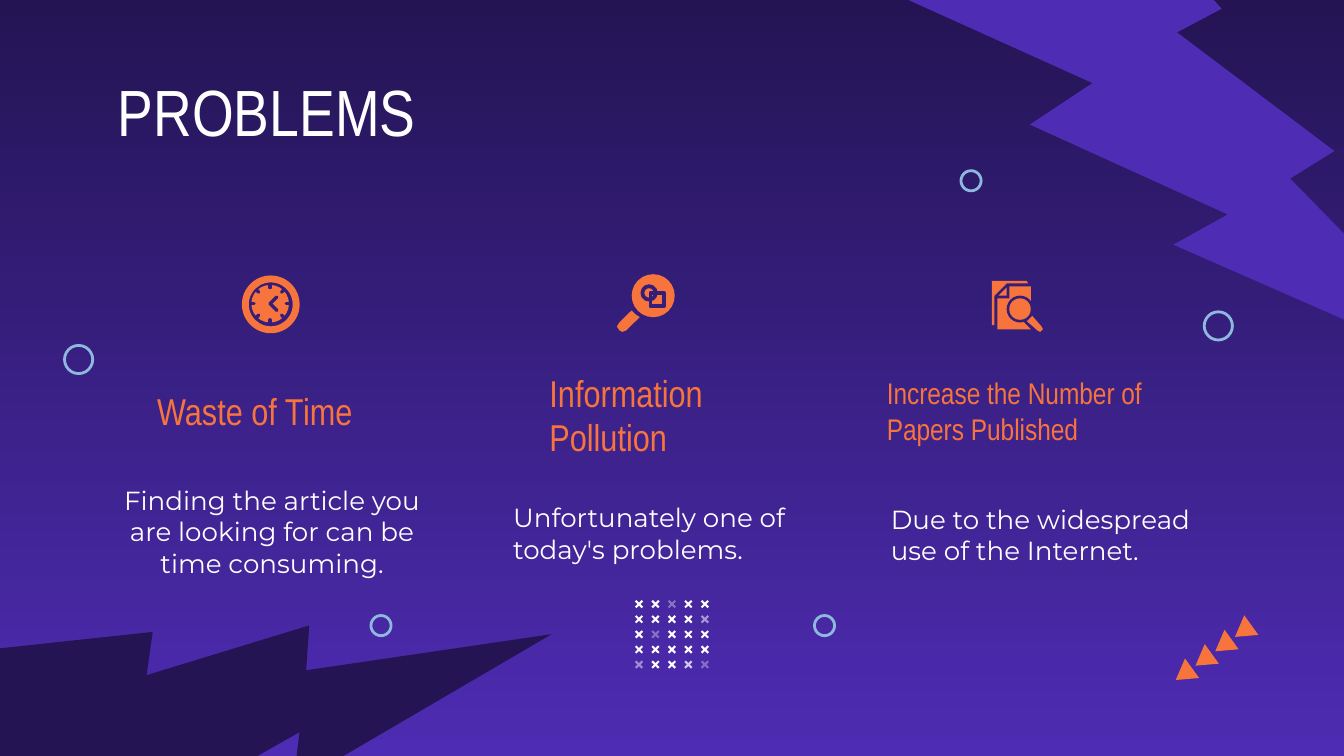
"""Build the slide on three research problems, with icons and ornaments."""
from dataclasses import dataclass
from math import cos, pi, sin
from typing import Optional

from lxml import etree
from pptx import Presentation
from pptx import util as u
from pptx.dml.color import RGBColor
from pptx.enum import dml, shapes, text
from pptx.oxml import ns

ORANGE, WHITE, BLUE = "F7743C", "FFFFFF", "8EB8DE"
NIGHT, VIOLET, DUSK = "241454", "4E2CB3", "351E7A"
KIND = shapes.MSO_SHAPE
HEAD, BODY = "Arial Narrow", "Montserrat"


@dataclass
class Mark:
    kind: int
    left: float
    top: float
    width: float
    height: float
    fill: Optional[str] = None
    line: Optional[str] = None
    weight: float = 1.5
    turn: float = 0
    bend: Optional[float] = None
    alpha: int = 100


@dataclass
class Label:
    words: str
    left: float
    top: float
    width: float
    height: float
    size: int
    font: str = HEAD
    color: str = ORANGE
    align: int = text.PP_ALIGN.LEFT
    anchor: int = text.MSO_ANCHOR.MIDDLE


def tint(fill, color: str) -> None:
    """Make a fill solid in a hex colour."""
    fill.solid()
    fill.fore_color.rgb = RGBColor.from_string(color)


def paint(shape, fill: Optional[str], line: Optional[str] = None, weight: float = 1.5) -> None:
    """Set the fill and line of a shape and drop its shadow."""
    shape.shadow.inherit = False
    for part, color in ((shape.fill, fill), (shape.line.fill, line)):
        if color:
            tint(part, color)
        else:
            part.background()
    if line:
        shape.line.width = u.Pt(weight)


def draw_mark(slide, mark: Mark) -> None:
    """Draw one preset shape."""
    box = [u.Inches(v) for v in (mark.left, mark.top, mark.width, mark.height)]
    shape = slide.shapes.add_shape(mark.kind, *box)
    shape.rotation = mark.turn
    if mark.bend is not None:
        shape.adjustments[0] = mark.bend
    paint(shape, mark.fill, mark.line, mark.weight)
    if mark.alpha < 100:
        color = shape.fill._xPr.find(".//" + ns.qn("a:srgbClr"))
        etree.SubElement(color, ns.qn("a:alpha"), val=str(mark.alpha * 1000))


def draw_label(slide, label: Label) -> None:
    """Draw one text box."""
    box = [u.Inches(v) for v in (label.left, label.top, label.width, label.height)]
    frame = slide.shapes.add_textbox(*box).text_frame
    inset = u.Inches(0.1)
    style = {"word_wrap": True, "vertical_anchor": label.anchor,
             "margin_left": inset, "margin_right": inset,
             "margin_top": inset, "margin_bottom": inset}
    for name, value in style.items():
        setattr(frame, name, value)
    para = frame.paragraphs[0]
    para.alignment = label.align
    run = para.add_run()
    run.text = label.words
    for name, value in {"name": label.font, "size": u.Pt(label.size)}.items():
        setattr(run.font, name, value)
    tint(run.font.fill, label.color)


def draw_form(slide, points: list[tuple[float, float]]) -> None:
    """Draw a closed orange outline."""
    first, *rest = [(u.Inches(x), u.Inches(y)) for x, y in points]
    pen = slide.shapes.build_freeform(*first)
    pen.add_line_segments(rest, close=True)
    paint(pen.convert_to_shape(), ORANGE)


def draw_line(slide, start: tuple[float, float], end: tuple[float, float]) -> None:
    """Draw a short dark line with round ends."""
    ends = [u.Inches(v) for v in (*start, *end)]
    line = slide.shapes.add_connector(shapes.MSO_CONNECTOR.STRAIGHT, *ends)
    tint(line.line.fill, DUSK)
    line.line.width = u.Pt(1.8)
    line.line._get_or_add_ln().set("cap", "rnd")
    etree.SubElement(line._element.spPr, ns.qn("a:effectLst"))


def draw_clock(slide) -> None:
    """Draw the clock icon."""
    x, y = 2.01, 2.26
    draw_mark(slide, Mark(KIND.DONUT, 1.8, 2.05, 0.43, 0.43, ORANGE, bend=0.12))
    draw_mark(slide, Mark(KIND.OVAL, 1.87, 2.12, 0.28, 0.28, ORANGE))
    for step in range(8):
        dx, dy = cos(step * pi / 4), sin(step * pi / 4)
        draw_line(slide, (x + 0.12 * dx, y + 0.12 * dy), (x + 0.14 * dx, y + 0.14 * dy))
    for tip in (2.21, 2.31):
        draw_line(slide, (x, y), (2.06, tip))


def draw_lens(slide) -> None:
    """Draw the magnifier icon."""
    draw_form(slide, [(4.7, 2.31), (4.61, 2.4), (4.59, 2.43), (4.61, 2.46),
                      (4.63, 2.47), (4.66, 2.46), (4.76, 2.36), (4.73, 2.34)])
    draw_mark(slide, Mark(KIND.OVAL, 4.7, 2.04, 0.32, 0.32, ORANGE))
    draw_mark(slide, Mark(KIND.OVAL, 4.78, 2.13, 0.1, 0.1, line=DUSK, weight=2))
    draw_mark(slide, Mark(KIND.RECTANGLE, 4.84, 2.18, 0.1, 0.1, line=DUSK, weight=2))


def draw_page(slide) -> None:
    """Draw the paper search icon."""
    draw_form(slide, [(7.38, 2.09), (7.38, 2.42), (7.4, 2.42), (7.4, 2.2), (7.49, 2.11),
                      (7.65, 2.11), (7.64, 2.09)])
    draw_form(slide, [(7.49, 2.14), (7.43, 2.2), (7.49, 2.2)])
    draw_form(slide, [(7.51, 2.13), (7.51, 2.22), (7.42, 2.22), (7.42, 2.45), (7.67, 2.45),
                      (7.62, 2.4), (7.59, 2.3), (7.67, 2.24), (7.67, 2.13)])
    draw_mark(slide, Mark(KIND.OVAL, 7.49, 2.2, 0.2, 0.2, DUSK))
    draw_mark(slide, Mark(KIND.OVAL, 7.51, 2.22, 0.16, 0.16, ORANGE))
    draw_form(slide, [(7.68, 2.35), (7.64, 2.39), (7.72, 2.46), (7.74, 2.47),
                      (7.75, 2.46), (7.76, 2.45), (7.75, 2.43)])


BOLTS = [Mark(KIND.LIGHTNING_BOLT, 6.71, -1.07, 4.17, 4.17, VIOLET, turn=353.7),
         Mark(KIND.LIGHTNING_BOLT, -0.15, 3.59, 3.6, 3.6, NIGHT, turn=299.7)]
LABELS = [
    Label("PROBLEMS", 0.78, 0.43, 8.43, 0.64, 35, color=WHITE, anchor=text.MSO_ANCHOR.TOP),
    Label("Waste of Time", 1.07, 2.78, 1.92, 0.55, 20),
    Label("Finding the article you are looking for can be time consuming.",
          0.78, 3.48, 2.49, 0.95, 14, BODY, WHITE, text.PP_ALIGN.CENTER),
    Label("Information Pollution", 3.99, 2.81, 1.66, 0.55, 20),
    Label("Unfortunately one of today's problems.", 3.72, 3.49, 2.37, 0.95, 14, BODY, WHITE),
    Label("Increase the Number of Papers Published", 6.5, 2.78, 2.66, 0.55, 16),
    Label("Due to the widespread use of the Internet.", 6.53, 3.5, 2.61, 0.95, 14, BODY, WHITE),
]
RINGS = [(2.76, 4.58, 0.15), (8.96, 2.32, 0.21), (0.48, 2.57, 0.21),
         (6.06, 4.58, 0.15), (7.15, 1.27, 0.15)]
FAINT = {(0, 2): 36, (1, 4): 53, (2, 1): 34, (4, 0): 48, (4, 3): 75, (4, 4): 33}


def main() -> None:
    """Build and save the slide."""
    deck = Presentation()
    deck.slide_width, deck.slide_height = u.Inches(10), u.Inches(5.625)
    slide = deck.slides.add_slide(deck.slide_layouts[6])
    back = slide.background.fill
    back.gradient()
    back.gradient_angle = 270
    for stop, color, place in zip(back.gradient_stops, (NIGHT, VIOLET), (0, 1)):
        stop.color.rgb = RGBColor.from_string(color)
        stop.position = place
    marks = BOLTS + [Mark(KIND.ISOSCELES_TRIANGLE, 9.16 - 0.147 * n, 4.62 + 0.107 * n,
                          0.18, 0.15, ORANGE, turn=234.2) for n in range(4)]
    marks += [Mark(KIND.OVAL, x, y, size, size, line=BLUE) for x, y, size in RINGS]
    marks += [Mark(KIND.CROSS, 4.72 + 0.1225 * col, 4.46 + 0.1125 * row, 0.07, 0.07, WHITE,
                   turn=315, bend=0.39, alpha=FAINT.get((row, col), 100))
              for row in range(5) for col in range(5)]
    for mark in marks:
        draw_mark(slide, mark)
    for label in LABELS:
        draw_label(slide, label)
    for draw in (draw_clock, draw_lens, draw_page):
        draw(slide)
    deck.save("out.pptx")


if __name__ == "__main__":
    main()
